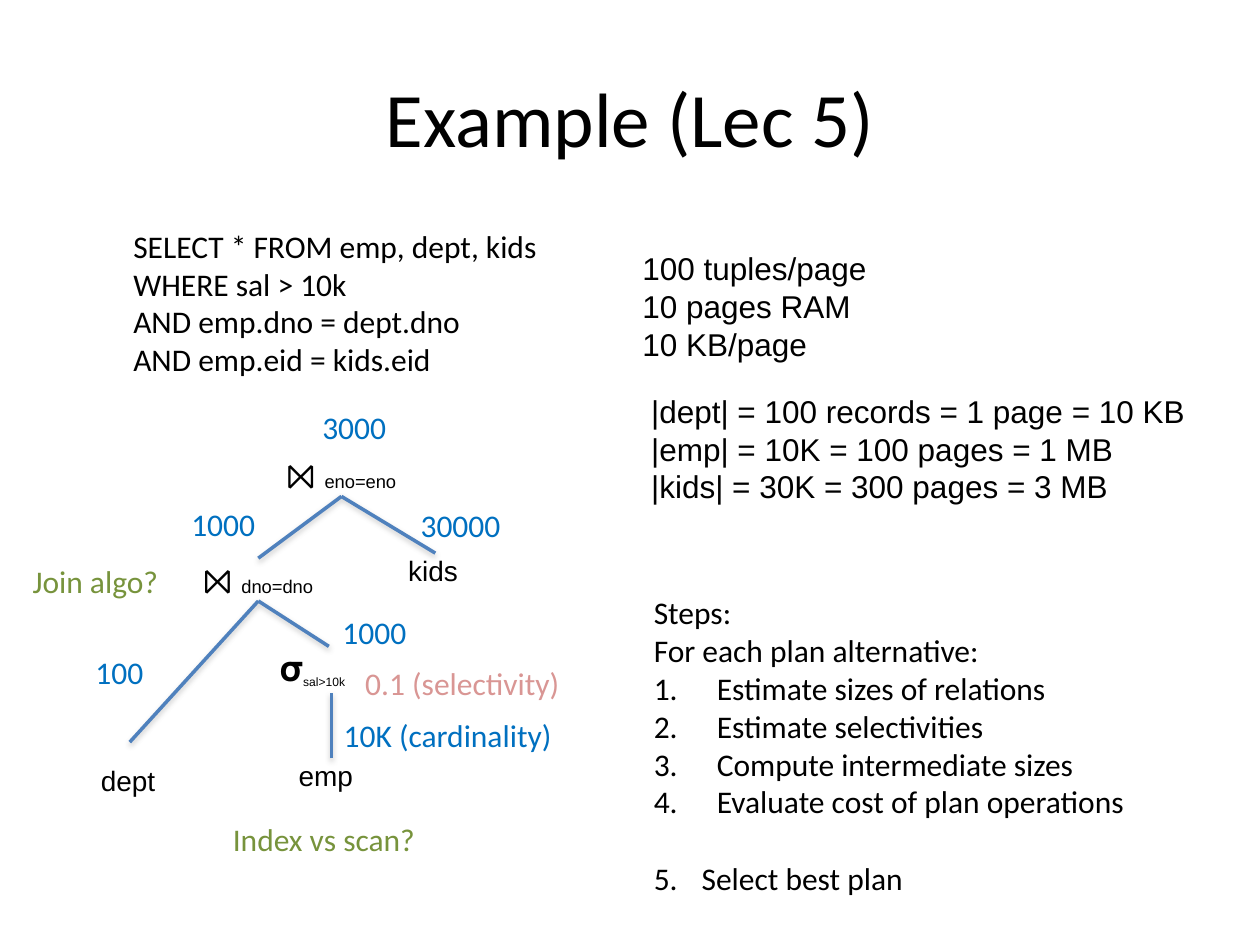
from typing import NamedTuple

from lxml.etree import SubElement
from pptx import Presentation
from pptx.dml.color import RGBColor
from pptx.enum.shapes import MSO_CONNECTOR
from pptx.enum.text import MSO_ANCHOR, MSO_AUTO_SIZE, PP_ALIGN
from pptx.oxml.ns import qn
from pptx.util import Emu, Pt

PX = 9144  # EMU per px, 100 px to the inch
COLORS = {
    "text": "000000",
    "size": "0070C0",
    "selectivity": "D99694",
    "question": "77933C",
    "line": "4F81BD",
    "shadow": "808080",
}
TOP, BOTTOM = 0, 2  # connection sites


class Box(NamedTuple):
    left: int
    top: int
    width: int
    height: int


class Node(NamedTuple):
    name: str
    box: Box
    runs: tuple  # (text, point size) pairs
    centred: bool = False
    subscript: bool = False


class Edge(NamedTuple):
    child: str
    parent: str
    start: tuple
    end: tuple
    join_child: bool = True
    join_parent: bool = True


class Note(NamedTuple):
    box: Box
    text: str
    color: str = "text"
    font: str = "Calibri"


NODES = [
    Node("top join", Box(221, 360, 100, 34), (("⨝ ", 20), ("eno=eno", 10.5)), centred=True),
    Node("low join", Box(155, 443, 100, 34), (("⨝ ", 20), ("dno=dno", 10.5)), centred=True),
    Node("dept", Box(80, 606, 47, 27), (("dept", 16),)),
    Node("emp", Box(237, 602, 52, 27), (("emp", 16),)),
    Node("kids", Box(324, 439, 43, 27), (("kids", 16),)),
    Node("filter", Box(222, 513, 78, 34), (("𝛔", 20), ("sal>10k", 12)), subscript=True),
]

EDGES = [
    Edge("dept", "low join", (103, 589), (205, 476), join_child=False),
    Edge("filter", "low join", (261, 513), (205, 476)),
    Edge("low join", "top join", (205, 443), (272, 394)),
    Edge("kids", "top join", (345, 439), (272, 394)),
    Edge("emp", "filter", (263, 602), (263, 550), join_parent=False),
]

NOTES = [
    Note(Box(500, 193, 500, 101), "100 tuples/page\n10 pages RAM\n10 KB/page", font="Arial"),
    Note(Box(507, 306, 500, 101),
         "|dept| = 100 records = 1 page = 10 KB\n"
         "|emp| = 10K = 100 pages = 1 MB\n"
         "|kids| = 30K = 300 pages = 3 MB", font="Arial"),
    Note(Box(66, 513, 97, 40), "100", "size"),
    Note(Box(263, 563, 220, 40), "10K (cardinality)", "size"),
    Note(Box(280, 522, 268, 40), "0.1 (selectivity)", "selectivity"),
    Note(Box(262, 482, 97, 40), "1000", "size"),
    Note(Box(142, 396, 97, 40), "1000", "size"),
    Note(Box(324, 397, 97, 40), "30000", "size"),
    Note(Box(246, 319, 97, 40), "3000", "size"),
    Note(Box(96, 175, 397, 131),
         "SELECT * FROM emp, dept, kids\nWHERE sal > 10k\n"
         "AND emp.dno = dept.dno\nAND emp.eid = kids.eid"),
    Note(Box(175, 646, 210, 40), "Index vs scan?", "question"),
    Note(Box(16, 441, 145, 40), "Join algo?", "question"),
]

STEPS = Note(Box(509, 466, 418, 252),
             "Steps:\nFor each plan alternative:\nEstimate sizes of relations\n"
             "Estimate selectivities\nCompute intermediate sizes\n"
             "Evaluate cost of plan operations\nSelect best plan")


def px(*values: int) -> list:
    return [Emu(v * PX) for v in values]


def style(font, size: float, color: str = "text", name: str = "Calibri") -> None:
    font.size = Pt(size)
    font.name = name
    font.color.rgb = RGBColor.from_string(COLORS[color])


def add_box(shapes, box: Box):
    s = shapes.add_textbox(*px(*box))
    s.text_frame.word_wrap = True
    s.text_frame.auto_size = MSO_AUTO_SIZE.SHAPE_TO_FIT_TEXT
    return s


def add_node(shapes, node: Node):
    s = add_box(shapes, node.box)
    tf = s.text_frame
    tf.margin_left = tf.margin_top = tf.margin_right = tf.margin_bottom = 0
    p = tf.paragraphs[0]
    p.alignment = PP_ALIGN.CENTER if node.centred else PP_ALIGN.LEFT
    for text, size in node.runs:
        r = p.add_run()
        r.text = text
        style(r.font, size, name="Arial")
    if node.subscript:
        r._r.get_or_add_rPr().set("baseline", "-25000")
    return s


def add_edge(shapes, edge: Edge, nodes: dict) -> None:
    s = shapes.add_connector(MSO_CONNECTOR.STRAIGHT, *px(*edge.start, *edge.end))
    if edge.join_child:
        s.begin_connect(nodes[edge.child], TOP)
    if edge.join_parent:
        s.end_connect(nodes[edge.parent], BOTTOM)
    s.line.color.rgb = RGBColor.from_string(COLORS["line"])
    s.line.width = Pt(2)
    # Soft shadow straight below the line
    effects = SubElement(s._element.spPr, qn("a:effectLst"))
    shadow = SubElement(effects, qn("a:outerShdw"), blurRad="40000", dist="20000",
                        dir="5400000", rotWithShape="0")
    color = SubElement(shadow, qn("a:srgbClr"), val=COLORS["shadow"])
    SubElement(color, qn("a:alpha"), val="38000")


def add_note(shapes, note: Note):
    tf = add_box(shapes, note.box).text_frame
    tf.text = note.text
    for p in tf.paragraphs:
        for r in p.runs:
            style(r.font, 18, note.color, note.font)
    return tf


def number(p, indent: int) -> None:
    pPr = p._p.get_or_add_pPr()
    pPr.set("marL", str(indent * PX))
    pPr.set("indent", str(-indent * PX))
    SubElement(pPr, qn("a:buFont"), typeface="+mj-lt")
    SubElement(pPr, qn("a:buAutoNum"), type="arabicPeriod")


def main() -> None:
    prs = Presentation()
    prs.slide_width, prs.slide_height = px(1000, 750)
    slide = prs.slides.add_slide(prs.slide_layouts[5])

    # Title
    title = slide.shapes.title
    title.left, title.top, title.width, title.height = px(50, 30, 900, 125)
    tf = title.text_frame
    tf.text = "Example (Lec 5)"
    tf.vertical_anchor = MSO_ANCHOR.MIDDLE
    tf.paragraphs[0].alignment = PP_ALIGN.CENTER
    style(tf.paragraphs[0].runs[0].font, 44)

    # Query plan tree
    tree = slide.shapes.add_group_shape().shapes
    nodes = {node.name: add_node(tree, node) for node in NODES}
    for edge in EDGES:
        add_edge(tree, edge, nodes)

    # Query, statistics and annotations
    for note in NOTES:
        add_note(slide.shapes, note)

    # Numbered steps, the last one set apart
    *steps, last = add_note(slide.shapes, STEPS).paragraphs[2:]
    for p in steps:
        number(p, 50)
    last.space_before = Pt(22)
    number(last, 38)

    prs.save("out.pptx")


if __name__ == "__main__":
    main()
